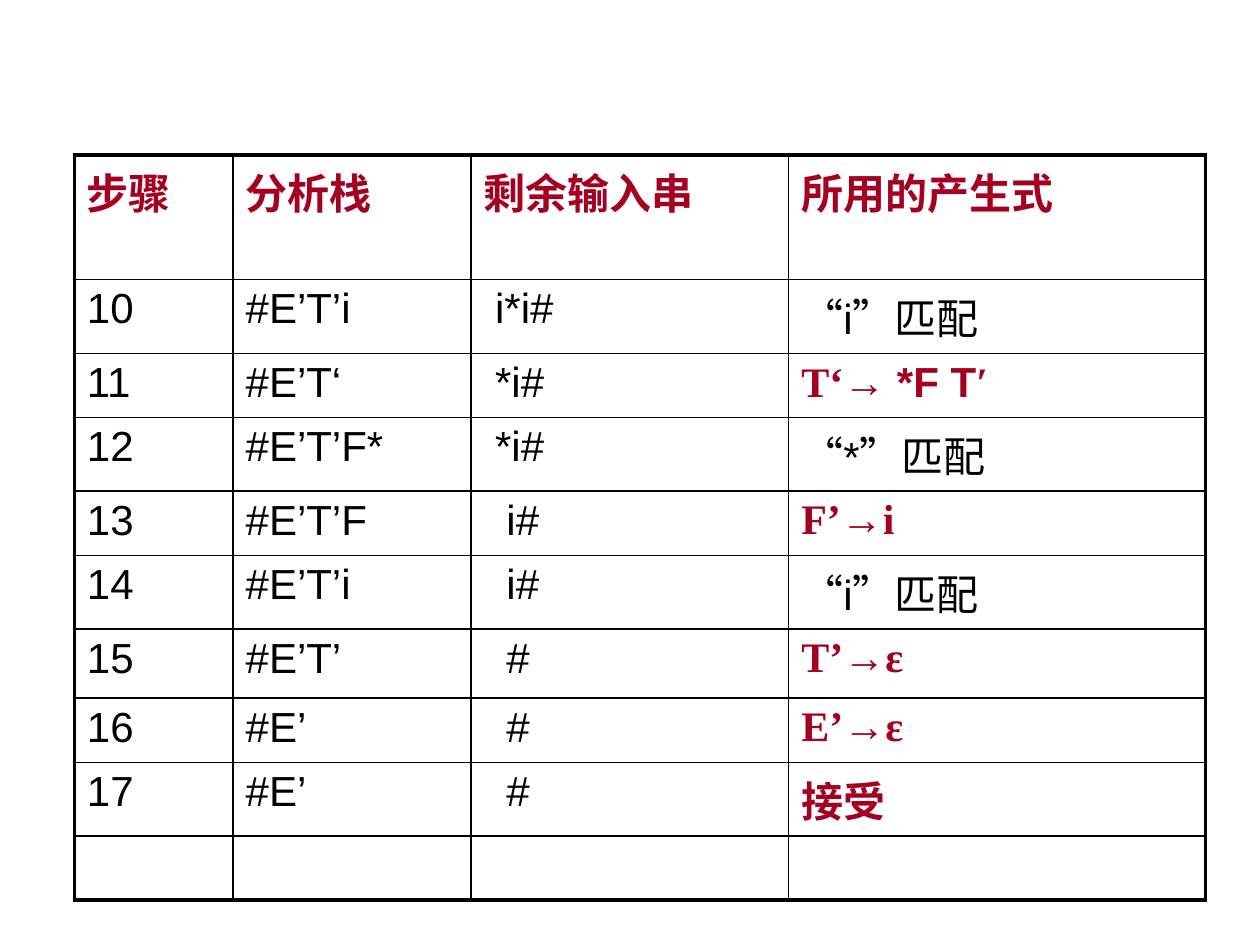
"""Build a slide with the final steps of a predictive parsing table."""
from lxml.etree import SubElement
from pptx import Presentation
from pptx.dml.color import RGBColor
from pptx.enum.lang import MSO_LANGUAGE_ID
from pptx.oxml.ns import qn
from pptx.util import Inches, Pt

RED = "A50021"
BLACK = "000000"
SANS = "Arial"
SERIF = "Times New Roman"
SPACE_WIDTH = 0.09
COLUMN_WIDTHS = [1.26, 1.89, 2.52, 3.31]
ROW_HEIGHTS = [0.99] + [0.51] * 5 + [0.55] + [0.51] * 3
HEADINGS = ["步骤", "分析栈", "剩余输入串", "所用的产生式"]
FIRST_STEP = 10
STEPS = [
    ("#E’T’i", 1, "i*i#", "“i”匹配"),
    ("#E’T‘", 1, "*i#", [("T‘→", SERIF), (" *F T", SANS), ("′", SERIF)]),
    ("#E’T’F*", 1, "*i#", "“*”匹配"),
    ("#E’T’F", 2, "i#", [("F’→i", SERIF)]),
    ("#E’T’i", 2, "i#", "“i”匹配"),
    ("#E’T’", 2, "#", [("T’→ε", SERIF)]),
    ("#E’", 2, "#", [("E’→ε", SERIF)]),
    ("#E’", 2, "#", [("接受", SERIF)]),
]


def color(value):
    return RGBColor.from_string(value)


def write_cell(cell, runs, ink=BLACK, bold=False, indent=0):
    cell.margin_left = Inches(0.1 + indent * SPACE_WIDTH)
    paragraph = cell.text_frame.paragraphs[0]
    for text, typeface in runs:
        run = paragraph.add_run()
        run.text = text
        run.font.name = typeface
        run.font.size = Pt(24)
        run.font.bold = bold
        run.font.color.rgb = color(ink)
        run.font.language_id = MSO_LANGUAGE_ID.SIMPLIFIED_CHINESE


def set_borders(cell, outer_sides):
    properties = cell._tc.get_or_add_tcPr()
    for side in "LRTB":
        width = Pt(2.25 if side in outer_sides else 1)
        line = SubElement(properties, qn(f"a:ln{side}"), w=str(width))
        fill = SubElement(line, qn("a:solidFill"))
        SubElement(fill, qn("a:srgbClr"), val=BLACK)


def style_cells(table):
    last_row = len(ROW_HEIGHTS) - 1
    last_column = len(COLUMN_WIDTHS) - 1
    for row in range(last_row + 1):
        for column in range(last_column + 1):
            cell = table.cell(row, column)
            edges = {"L": column == 0, "R": column == last_column,
                     "T": row == 0, "B": row == last_row}
            set_borders(cell, [side for side, outer in edges.items() if outer])
            cell.fill.background()


def add_grid(slide):
    frame = slide.shapes.add_table(
        len(ROW_HEIGHTS), len(COLUMN_WIDTHS), Inches(0.59), Inches(1.23),
        Inches(sum(COLUMN_WIDTHS)), Inches(sum(ROW_HEIGHTS)))
    table = frame.table
    table.first_row = False
    table.horz_banding = False
    for column, width in zip(table.columns, COLUMN_WIDTHS):
        column.width = Inches(width)
    for row, height in zip(table.rows, ROW_HEIGHTS):
        row.height = Inches(height)
    style_cells(table)
    return table


def fill_step(table, row, step):
    stack, indent, remaining, action = step
    number = str(FIRST_STEP + row - 1)
    write_cell(table.cell(row, 0), [(number, SANS)])
    write_cell(table.cell(row, 1), [(stack, SANS)])
    write_cell(table.cell(row, 2), [(remaining, SANS)], indent=indent)
    if isinstance(action, str):
        write_cell(table.cell(row, 3), [(action, SANS)])
    else:
        write_cell(table.cell(row, 3), action, RED, True)


def main():
    presentation = Presentation()
    presentation.slide_width = Inches(10)
    presentation.slide_height = Inches(7.5)
    slide = presentation.slides.add_slide(presentation.slide_layouts[6])
    table = add_grid(slide)
    for column, heading in enumerate(HEADINGS):
        write_cell(table.cell(0, column), [(heading, SANS)], RED, True)
    for row, step in enumerate(STEPS, start=1):
        fill_step(table, row, step)
    presentation.save("out.pptx")


main()
